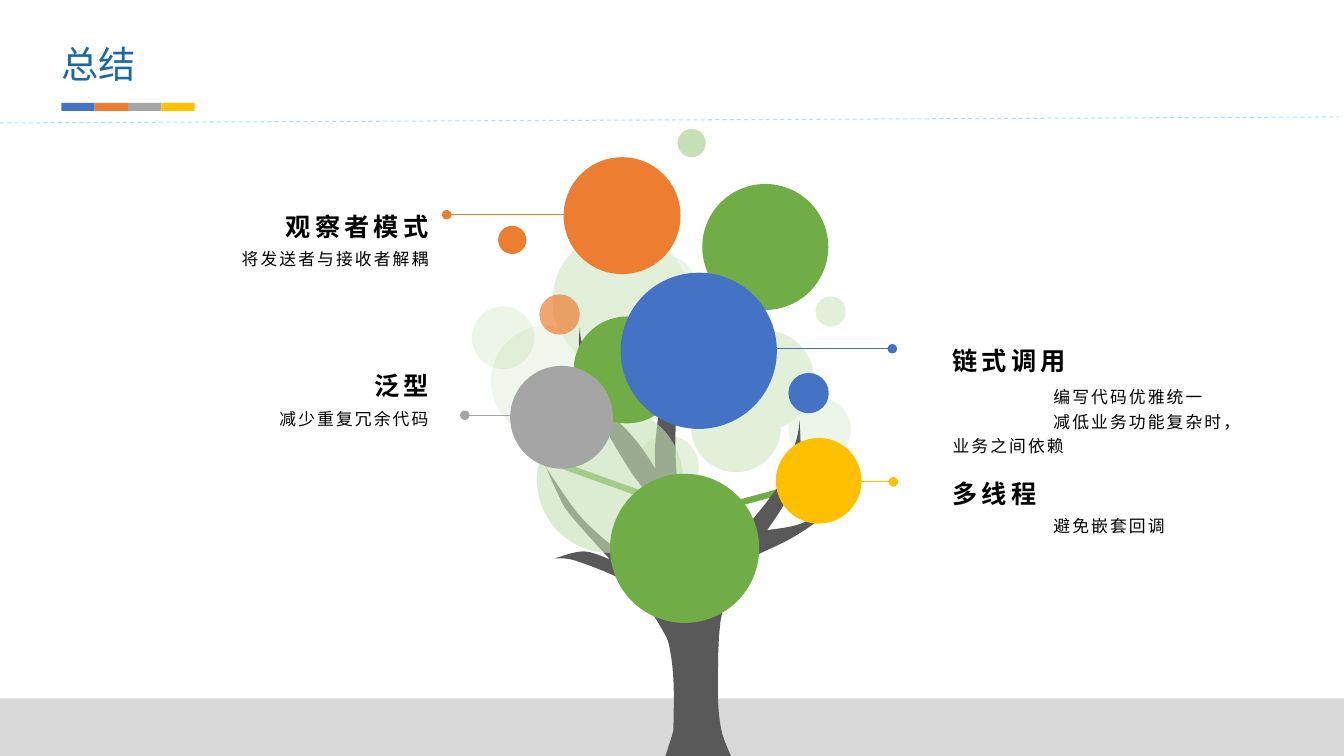
from lxml.etree import SubElement
from pptx import Presentation
from pptx.dml.color import RGBColor
from pptx.enum.dml import MSO_LINE
from pptx.enum.shapes import MSO_CONNECTOR, MSO_SHAPE
from pptx.enum.text import MSO_ANCHOR, MSO_AUTO_SIZE, PP_ALIGN
from pptx.oxml.ns import qn
from pptx.util import Inches, Pt

WIDTH, HEIGHT = 13.33, 7.5
FONT = "Noto Sans CJK SC"
BLUE, ORANGE, GRAY, YELLOW = "4472C4", "ED7D31", "A5A5A5", "FFC000"
GREEN, MINT, PALE, BARK = "70AD47", "C5E0B4", "E2F0D9", "595959"
LEFT_COLUMN, RIGHT_COLUMN = (1.26, 3.09), (9.35, 3.17)
HEADING_HEIGHT, BODY_HEIGHT, BODY_OFFSET = 0.51, 0.81, 0.55

# Leaves: centre x, centre y, diameter, colour, opacity in percent
OUTER_LEAVES = [
    (4.99, 3.35, 0.62, MINT, 30), (8.13, 4.26, 0.62, MINT, 30),
    (6.62, 4.63, 0.62, "A9D18E", 30), (6.59, 2.84, 0.62, MINT, 30),
    (7.97, 2.66, 0.24, PALE, 30),
]
BACK_LEAVES = [
    (5.42, 3.78, 1.1, GREEN, 10), (6.16, 2.98, 1.36, PALE, 100),
    (7.58, 3.77, 0.99, PALE, 100),
]
FRONT_LEAVES = [
    (6.05, 4.76, 1.45, MINT, 61), (6.22, 3.67, 1.06, GREEN, 100),
    (7.3, 4.24, 0.89, PALE, 100), (8.24, 3.09, 0.3, PALE, 100),
    (5.08, 2.38, 0.28, ORANGE, 100), (6.86, 1.42, 0.28, MINT, 100),
    (5.55, 3.12, 0.4, ORANGE, 69), (8.02, 3.9, 0.4, BLUE, 100),
    (7.59, 2.45, 1.25, GREEN, 100), (6.17, 2.14, 1.16, ORANGE, 100),
    (6.93, 3.48, 1.55, BLUE, 100), (8.12, 4.77, 0.85, YELLOW, 100),
    (6.79, 5.44, 1.48, GREEN, 100), (5.57, 4.14, 1.02, GRAY, 100),
]

# Smooth edges of the trunk, each running from one sharp corner to the next
TRUNK_EDGES = [
    [(5.5, 5.54), (5.7, 5.56), (6.15, 5.74), (6.35, 5.91), (6.57, 6.25), (6.64, 6.42),
     (6.68, 6.75), (6.68, 7.19), (6.67, 7.28), (6.6, 7.5)],
    [(7.25, 7.5), (7.15, 7.22), (7.12, 6.77), (7.17, 6.04), (7.44, 5.57), (7.48, 5.52),
     (7.85, 5.34), (8.16, 5.13), (8.24, 5.02)],
    [(8.24, 5.02), (8.14, 5.1), (7.9, 5.21), (7.61, 5.26)],
    [(7.61, 5.26), (7.75, 5.05), (7.82, 4.91), (7.91, 4.64), (7.94, 4.43), (7.93, 4.17)],
    [(7.93, 4.17), (7.9, 4.36), (7.77, 4.73), (7.62, 4.96), (7.41, 5.22), (7.24, 5.44),
     (7, 5.9)],
    [(7, 5.9), (6.88, 5.56), (6.77, 5.12), (6.72, 4.82), (6.7, 4.44), (6.71, 4.12),
     (6.77, 3.66), (6.87, 3.31), (7.03, 2.93)],
    [(7.03, 2.93), (6.89, 3.1), (6.82, 3.22), (6.66, 3.57), (6.56, 3.94), (6.5, 4.39),
     (6.5, 4.65)],
    [(6.5, 4.65), (6.37, 4.45), (6.23, 4.28), (6.11, 4.15), (5.94, 3.87), (5.78, 3.43),
     (5.75, 3.25)],
    [(5.75, 3.25), (5.75, 3.51), (5.87, 3.97), (6.03, 4.3), (6.23, 4.64), (6.49, 5.05),
     (6.57, 5.61), (6.62, 5.93)],
    [(6.62, 5.93), (6.21, 5.52), (5.97, 5.33), (5.72, 5.08), (5.43, 4.66), (5.41, 4.62)],
    [(5.41, 4.62), (5.52, 4.87), (5.65, 5.1), (6.05, 5.55)],
    [(6.05, 5.55), (5.79, 5.47), (5.5, 5.54)],
]

# Callouts: heading, body lines, column, top, colour, dot centre, line end x
CALLOUTS = [
    ("观察者模式", ["将发送者与接收者解耦"], LEFT_COLUMN, 1.92, ORANGE, (4.43, 2.13), 6.09),
    ("泛型", ["减少重复冗余代码"], LEFT_COLUMN, 3.5, GRAY, (4.61, 4.12), 5.32),
    ("链式调用", ["编写代码优雅统一", "减低业务功能复杂时，业务之间依赖"],
     RIGHT_COLUMN, 3.25, BLUE, (8.85, 3.46), 7.62),
    ("多线程", ["避免嵌套回调"], RIGHT_COLUMN, 4.57, YELLOW, (8.86, 4.78), 8.15),
]


def rgb(code):
    return RGBColor.from_string(code)


def fade(shape, opacity):
    if opacity < 100:
        for colour in shape._element.spPr.iter(qn("a:srgbClr")):
            SubElement(colour, qn("a:alpha")).set("val", str(opacity * 1000))


def paint(shape, colour, outline=None):
    shape.shadow.inherit = False
    shape.fill.solid()
    shape.fill.fore_color.rgb = rgb(colour)
    if outline:
        shape.line.color.rgb = rgb(colour)
        shape.line.width = Pt(outline)
    else:
        shape.line.fill.background()


def add_block(slide, left, top, width, height, colour):
    block = slide.shapes.add_shape(
        MSO_SHAPE.RECTANGLE, Inches(left), Inches(top), Inches(width), Inches(height))
    paint(block, colour)


def add_circle(slide, x, y, diameter, colour, opacity=100, outline=None):
    circle = slide.shapes.add_shape(
        MSO_SHAPE.OVAL, Inches(x - diameter / 2), Inches(y - diameter / 2),
        Inches(diameter), Inches(diameter))
    paint(circle, colour, outline)
    fade(circle, opacity)


def add_line(slide, start, end, colour, weight, dash=None, opacity=100):
    line = slide.shapes.add_connector(
        MSO_CONNECTOR.STRAIGHT, *(Inches(value) for value in (*start, *end)))
    line.line.color.rgb = rgb(colour)
    line.line.width = Pt(weight)
    if dash:
        line.line.dash_style = dash
    fade(line, opacity)
    SubElement(line._element.spPr, qn("a:effectLst"))


def smooth(edge, steps=5):
    """Catmull-Rom curve through the points of one edge."""
    padded = [edge[0], *edge, edge[-1]]
    for a, b, c, d in zip(padded, padded[1:], padded[2:], padded[3:]):
        for step in range(steps):
            t = step / steps
            yield tuple(
                q + t * (r - p) / 2 + t**2 * (p - 2.5 * q + 2 * r - s / 2)
                + t**3 * (3 * q - 3 * r + s - p) / 2
                for p, q, r, s in zip(a, b, c, d))
    yield edge[-1]


def add_trunk(slide):
    # The builder rounds to whole units, so points are given in EMU
    outline = [(Inches(x), Inches(y)) for edge in TRUNK_EDGES for x, y in smooth(edge)]
    builder = slide.shapes.build_freeform(*outline[0], scale=1.0)
    builder.add_line_segments(outline[1:], close=True)
    paint(builder.convert_to_shape(), BARK)


def write(frame, lines, size, colour="000000", bold=False, tracking=0, spacing=None,
          align=PP_ALIGN.LEFT, anchor=MSO_ANCHOR.TOP, margins=(0, 0, 0, 0), indent=0):
    frame.word_wrap = True
    frame.auto_size = MSO_AUTO_SIZE.NONE
    frame.vertical_anchor = anchor
    (frame.margin_left, frame.margin_top,
     frame.margin_right, frame.margin_bottom) = map(Inches, margins)
    for index, line in enumerate(lines):
        paragraph = frame.add_paragraph() if index else frame.paragraphs[0]
        paragraph.alignment = align
        if spacing:
            paragraph.line_spacing = spacing
        if indent:
            paragraph._p.get_or_add_pPr().set("indent", str(Inches(indent)))
        run = paragraph.add_run()
        run.text = line
        run.font.size, run.font.bold, run.font.name = Pt(size), bold, FONT
        run.font.color.rgb = rgb(colour)
        properties = run._r.get_or_add_rPr()
        properties.set("spc", str(int(tracking * 100)))
        SubElement(properties, qn("a:ea")).set("typeface", FONT)


def place(shape, left, top, width, height):
    shape.left, shape.top = Inches(left), Inches(top)
    shape.width, shape.height = Inches(width), Inches(height)


def add_text(slide, column, top, height, lines, **style):
    left, width = column
    box = slide.shapes.add_textbox(Inches(left), Inches(top), Inches(width), Inches(height))
    write(box.text_frame, lines, **style)


def add_callout(slide, heading, body, column, top, colour, dot, line_end):
    on_left = column == LEFT_COLUMN
    align = PP_ALIGN.RIGHT if on_left else PP_ALIGN.LEFT
    add_line(slide, dot, (line_end, dot[1]), colour, 0.5)
    add_circle(slide, *dot, 0.08, colour, outline=1)
    add_text(slide, column, top, HEADING_HEIGHT, [heading], size=18, bold=True, tracking=3,
             spacing=1.3, align=align, anchor=MSO_ANCHOR.MIDDLE, margins=(0.1, 0.05, 0.1, 0))
    add_text(slide, column, top + BODY_OFFSET, BODY_HEIGHT, body, size=12, tracking=1.5,
             spacing=1.2 if len(body) > 1 else None, align=align,
             margins=(0.1, 0, 0.1, 0.05), indent=0 if on_left else 1)


def add_header(slide):
    title = slide.shapes.title
    place(title, 0.61, 0.41, 9.15, 0.45)
    write(title.text_frame, ["总结"], size=26.6, colour="1D69A3")
    swatch = 0.33
    for column, colour in enumerate([BLUE, ORANGE, GRAY, YELLOW]):
        add_block(slide, 0.61 + column * swatch, 1.02, swatch, 0.08, colour)
    add_line(slide, (0, 1.22), (13.28, 1.16), "00B0F0", 0.75, MSO_LINE.DASH, 34)


def add_tree(slide):
    for leaf in OUTER_LEAVES:
        add_circle(slide, *leaf)
    for tip in [(5.55, 4.61), (8.14, 4.77)]:
        add_line(slide, tip, (6.92, 5.1), GREEN, 4.5)
    for leaf in BACK_LEAVES:
        add_circle(slide, *leaf)
    add_trunk(slide)
    for leaf in FRONT_LEAVES:
        add_circle(slide, *leaf)


def main():
    deck = Presentation()
    deck.slide_width, deck.slide_height = Inches(WIDTH), Inches(HEIGHT)
    slide = deck.slides.add_slide(deck.slide_layouts[5])
    ground = 0.57
    add_block(slide, 0, HEIGHT - ground, WIDTH, ground, "D9D9D9")
    add_header(slide)
    add_tree(slide)
    for callout in CALLOUTS:
        add_callout(slide, *callout)
    deck.save("out.pptx")


if __name__ == "__main__":
    main()
